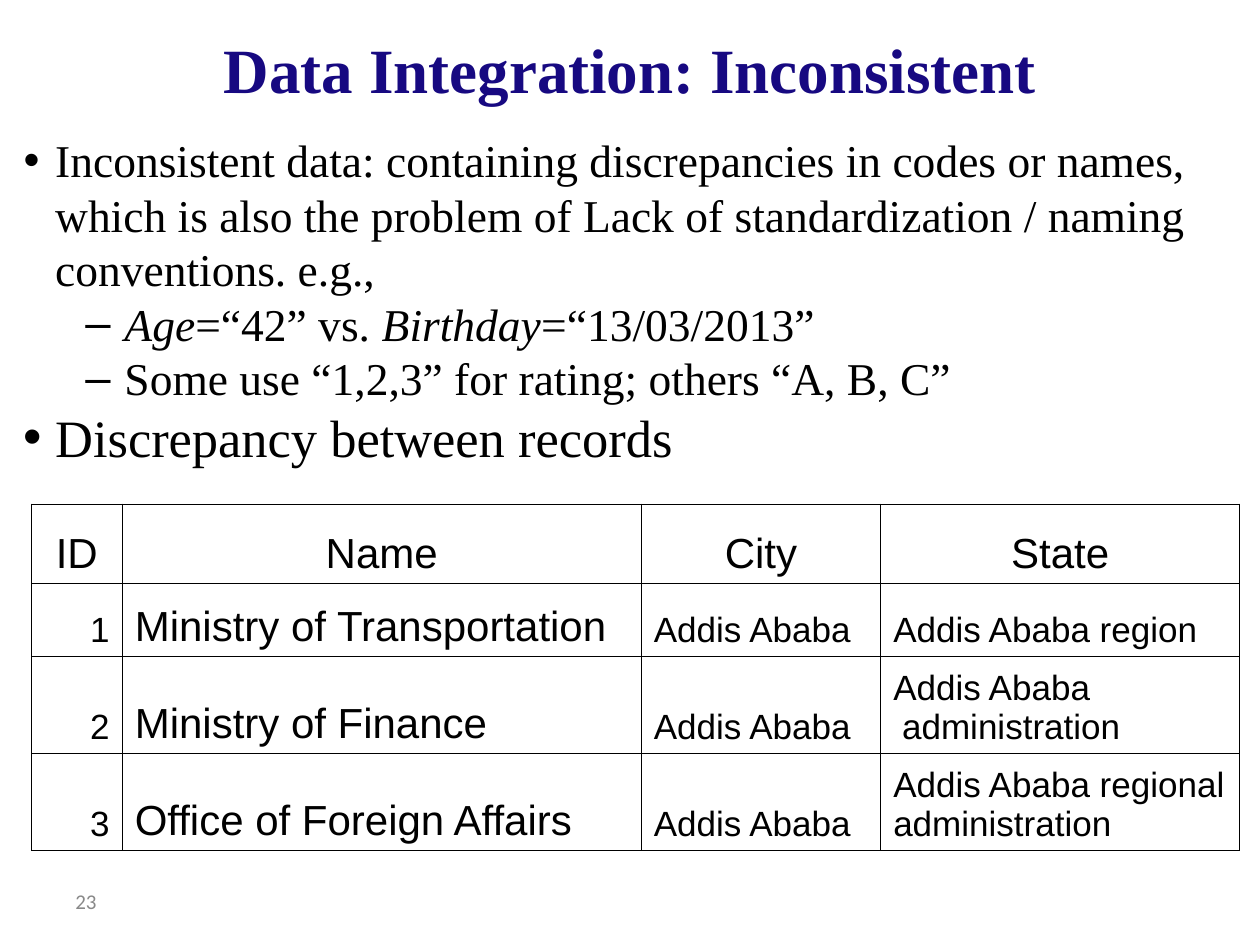
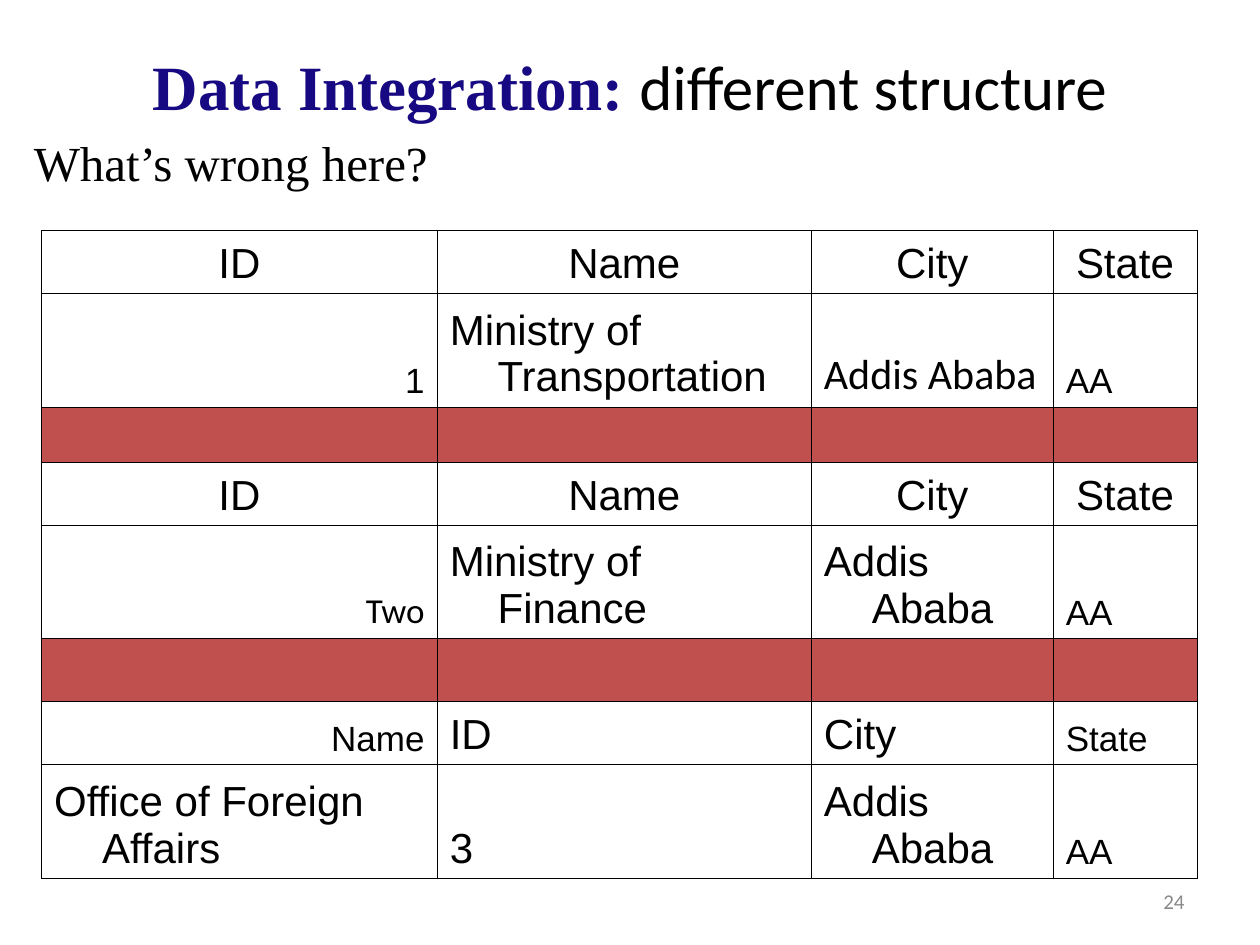
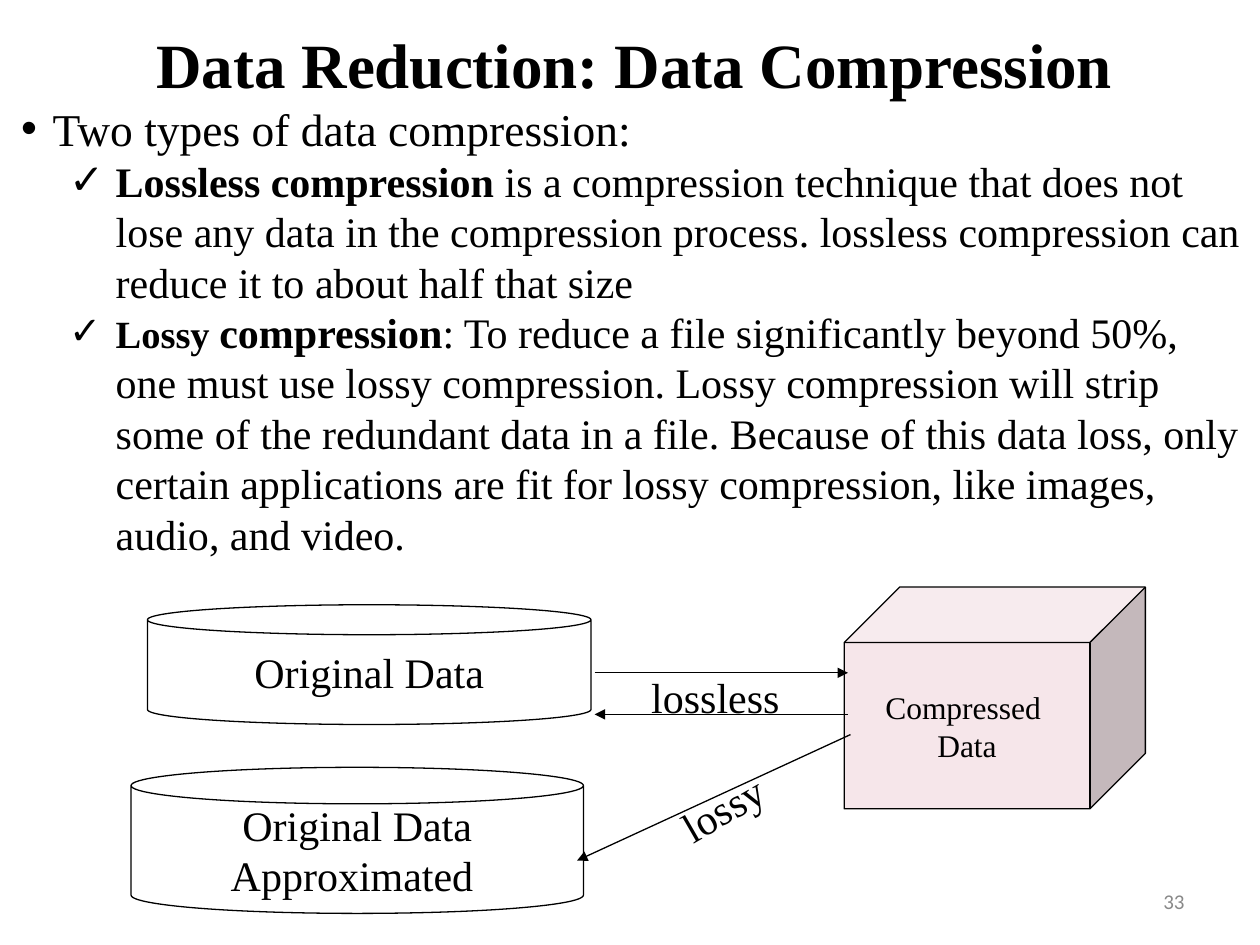
import pptx
import pptx.dml.color
import pptx.enum.shapes
import pptx.enum.text
import pptx.oxml.ns
import pptx.util
from lxml import etree

RGB = pptx.dml.color.RGBColor
NAVY = RGB(0x17, 0x09, 0x81)
BLACK = RGB(0, 0, 0)
WHITE = RGB(0xFF, 0xFF, 0xFF)
GREY = RGB(0x89, 0x89, 0x89)
RED = RGB(0xC0, 0x50, 0x4D)
PINK = RGB(0xF6, 0xE6, 0xEA)

SERIF, SANS, PLAIN = "Times New Roman", "Arial", "Calibri"
ALIGN = pptx.enum.text.PP_ALIGN
ANCHOR = pptx.enum.text.MSO_ANCHOR
FIT = pptx.enum.text.MSO_AUTO_SIZE
FORM = pptx.enum.shapes.MSO_SHAPE
COLS, ROWS = 100, 75
WIDE, HIGH = pptx.util.Inches(10), pptx.util.Inches(7.5)


def across(n):
    return round(n * WIDE / COLS)


def down(n):
    return round(n * HIGH / ROWS)


def node(parent, tag, **attrs):
    return etree.SubElement(parent, pptx.oxml.ns.qn(tag), **attrs)


def write(frame, text, size=24, font=SERIF, color=BLACK, bold=False, slant=False,
          align=ALIGN.LEFT, left=0, hang=0, level=0, mark=None):
    par = frame.paragraphs[0]
    if par.runs:
        par = frame.add_paragraph()
    par.alignment, par.level = align, level
    props = par._p.get_or_add_pPr()
    props.set("marL", str(across(left)))
    props.set("indent", str(-across(hang)))
    if mark:
        node(node(props, "a:buClr"), "a:srgbClr", val=str(BLACK))
        node(props, "a:buFont", typeface=SANS)
        node(props, "a:buChar", char=mark)
    base = dict(size=size, font=font, color=color, bold=bold, slant=slant)
    for words, change in [(text, {})] if isinstance(text, str) else text:
        look = {**base, **change}
        run = par.add_run()
        run.text = words
        run.font.size = pptx.util.Pt(look["size"])
        run.font.name = look["font"]
        run.font.color.rgb = look["color"]
        run.font.bold, run.font.italic = look["bold"], look["slant"]


class Deck:
    def __init__(self):
        self.file = pptx.Presentation()
        self.file.slide_width, self.file.slide_height = WIDE, HIGH
        self.slide = None

    def start(self):
        self.slide = self.file.slides.add_slide(self.file.slide_layouts[6])

    def box(self, x, y, w, h, anchor=ANCHOR.TOP, wrap=True, fit=FIT.NONE, turn=0):
        box = self.slide.shapes.add_textbox(across(x), down(y), across(w), down(h))
        box.rotation = turn
        frame = box.text_frame
        frame.word_wrap, frame.auto_size, frame.vertical_anchor = wrap, fit, anchor
        return frame

    def title(self, text, y, h, x=5, w=90, color=NAVY):
        write(self.box(x, y, w, h, ANCHOR.MIDDLE), text, size=36, bold=True,
              color=color, align=ALIGN.CENTER)

    def number(self, text, x=71.7, align=ALIGN.RIGHT):
        write(self.box(x, 69.5, 23.3, 4, ANCHOR.MIDDLE), text, size=12, font=PLAIN,
              color=GREY, align=align)

    def label(self, text, x, y, w, turn=0):
        write(self.box(x, y, w, 5, wrap=False, turn=turn), text)

    def solid(self, form, lines, x, y, w, h, fill=WHITE, size=24):
        shape = self.slide.shapes.add_shape(form, across(x), down(y), across(w), down(h))
        shape.adjustments[0] = 0.25
        shape.shadow.inherit = False
        shape.fill.solid()
        shape.fill.fore_color.rgb = fill
        shape.line.color.rgb = BLACK
        shape.line.width = pptx.util.Pt(0.75)
        frame = shape.text_frame
        frame.word_wrap, frame.vertical_anchor = False, ANCHOR.MIDDLE
        for line in lines:
            write(frame, line, size=size, align=ALIGN.CENTER)

    def arrow(self, x1, y1, x2, y2):
        line = self.slide.shapes.add_connector(
            pptx.enum.shapes.MSO_CONNECTOR.STRAIGHT,
            across(x1), down(y1), across(x2), down(y2))
        line.line.color.rgb = BLACK
        line.line.width = pptx.util.Pt(0.75)
        node(line.line._get_or_add_ln(), "a:tailEnd", type="triangle")
        node(line._element.spPr, "a:effectLst")

    def cell(self, cell, text, fill=None, **look):
        props = cell._tc.get_or_add_tcPr()
        for side in "LRTB":
            edge = node(props, f"a:ln{side}", w=str(pptx.util.Pt(0.45)))
            node(node(edge, "a:solidFill"), "a:srgbClr", val=str(BLACK))
        if fill:
            cell.fill.solid()
            cell.fill.fore_color.rgb = fill
        else:
            cell.fill.background()
        cell.vertical_anchor = ANCHOR.BOTTOM
        if text:
            write(cell.text_frame, text, **{"font": SANS, "left": 3.8, "hang": 3.8, **look})

    def table(self, x, y, wide, high, looks, heads, rows):
        grid = self.slide.shapes.add_table(
            len(high), len(wide), across(x), down(y), across(sum(wide)), down(sum(high))).table
        grid.first_row = grid.horz_banding = False
        for col, w in zip(grid.columns, wide):
            col.width = across(w)
        for r, (h, row) in enumerate(zip(high, rows)):
            grid.rows[r].height = down(h)
            for c, look in enumerate(looks):
                item = row[c] if row else ("", {"fill": RED})
                text, change = (item, {}) if isinstance(item, str) else item
                base = {"align": ALIGN.CENTER} if r in heads else look
                self.cell(grid.cell(r, c), text, **{**base, **change})


HEAD = ["ID", "Name", "City", "State"]
SMALL = {"size": 20}
RIGHT = {"size": 20, "align": ALIGN.RIGHT}
DOT = {"left": 2.6, "hang": 2.5, "mark": "•"}
DASH = {"size": 26, "left": 8.1, "hang": 3.1, "level": 1, "mark": "–"}
TICK = {"left": 7.5, "hang": 3.7, "level": 2, "mark": "✓"}


def clashes(deck):
    deck.start()
    deck.number("23", x=5, align=ALIGN.LEFT)
    deck.title("Data Integration: Inconsistent", 1.7, 7.5)
    body = deck.box(0.8, 10, 96.7, 60.8)
    write(body, "Inconsistent data: containing discrepancies in codes or names, which is also "
          "the problem of Lack of standardization / naming conventions. e.g.,", size=26, **DOT)
    write(body, [("Age", {"slant": True}), ("=“42” vs. ", {}),
                 ("Birthday", {"slant": True}), ("=“13/03/2013”", {})], **DASH)
    write(body, "Some use “1,2,3” for rating; others “A, B, C”", **DASH)
    write(body, "Discrepancy between records", size=30, **DOT)
    flush = {"size": 20, "left": 0, "hang": 0}
    deck.table(2.5, 40, [7.2, 41.2, 19, 28.5], [6.3, 5.8, 7.7, 7.7],
               [RIGHT, {}, SMALL, flush], {0}, [
        HEAD,
        ["1", "Ministry of Transportation", "Addis Ababa", "Addis Ababa region"],
        ["2", "Ministry of Finance", "Addis Ababa",
         ("Addis Ababa administration", {"left": 0.7, "hang": 0.7})],
        ["3", "Office of Foreign Affairs", "Addis Ababa", "Addis Ababa regional administration"],
    ])


def layouts(deck):
    deck.start()
    deck.title([("Data Integration: ", {}),
                ("different structure", {"font": PLAIN, "color": BLACK, "bold": False})], 3.3, 7)
    write(deck.box(1.7, 10, 96.7, 61.7), "What’s wrong here?", size=28, left=3.8, hang=3.8)
    deck.number("24")
    deck.table(3.3, 18.3, [31.4, 29.7, 19.2, 11.4], [5, 9, 4.4, 5, 9, 5, 5, 9],
               [RIGHT, {}, {}, SMALL], {0, 3}, [
        HEAD,
        ["1", "Ministry of Transportation", ("Addis Ababa", {"font": PLAIN}), "AA"],
        None,
        HEAD,
        [("Two", {"font": PLAIN}), "Ministry of Finance", "Addis Ababa", "AA"],
        None,
        ["Name", "ID", "City", "State"],
        [("Office of Foreign Affairs", {"size": 24, "align": ALIGN.LEFT}),
         "3", "Addis Ababa", "AA"],
    ])


def shrinking(deck):
    deck.start()
    deck.number("33")
    deck.title("Data Reduction: Data Compression", 1.7, 6.7, x=10, w=80.7, color=BLACK)
    deck.solid(FORM.CAN, ["Original Data"], 11.7, 48, 35.2, 9.5)
    deck.solid(FORM.CUBE, ["Compressed ", "Data"], 67, 46.6, 23.9, 17.6, PINK, 18)
    deck.arrow(47.2, 53.4, 67.3, 53.4)
    deck.arrow(67.3, 56.7, 47.2, 56.7)
    deck.label("lossless", 50.7, 52.8, 12.6)
    deck.solid(FORM.CAN, ["Original Data", "Approximated "], 10.4, 60.9, 35.9, 11.6)
    deck.arrow(67.5, 58.3, 45.8, 68.3)
    deck.label("lossy", 52.9, 61.5, 9.4, turn=330)
    body = deck.box(0.7, 7.5, 98.8, 41.4, fit=FIT.SHAPE_TO_FIT_TEXT)
    strong = {"bold": True}
    write(body, "Two types of data compression:", size=26, **{**DOT, "left": 2.5})
    write(body, [("Lossless compression ", strong),
                 ("is a compression technique that does not lose any data in the compression "
                  "process. lossless compression can reduce it to about half that size", {})], **TICK)
    write(body, [("Lossy ", {"size": 22, "bold": True}), ("compression", strong),
                 (": To reduce a file significantly beyond 50%, one must use lossy compression. "
                  "Lossy compression will strip some of the redundant data in a file. Because of "
                  "this data loss, only certain applications are fit for lossy compression, like "
                  "images, audio, and video.", {})], **TICK)


def main():
    deck = Deck()
    for build in (clashes, layouts, shrinking):
        build(deck)
    deck.file.save("out.pptx")


if __name__ == "__main__":
    main()
